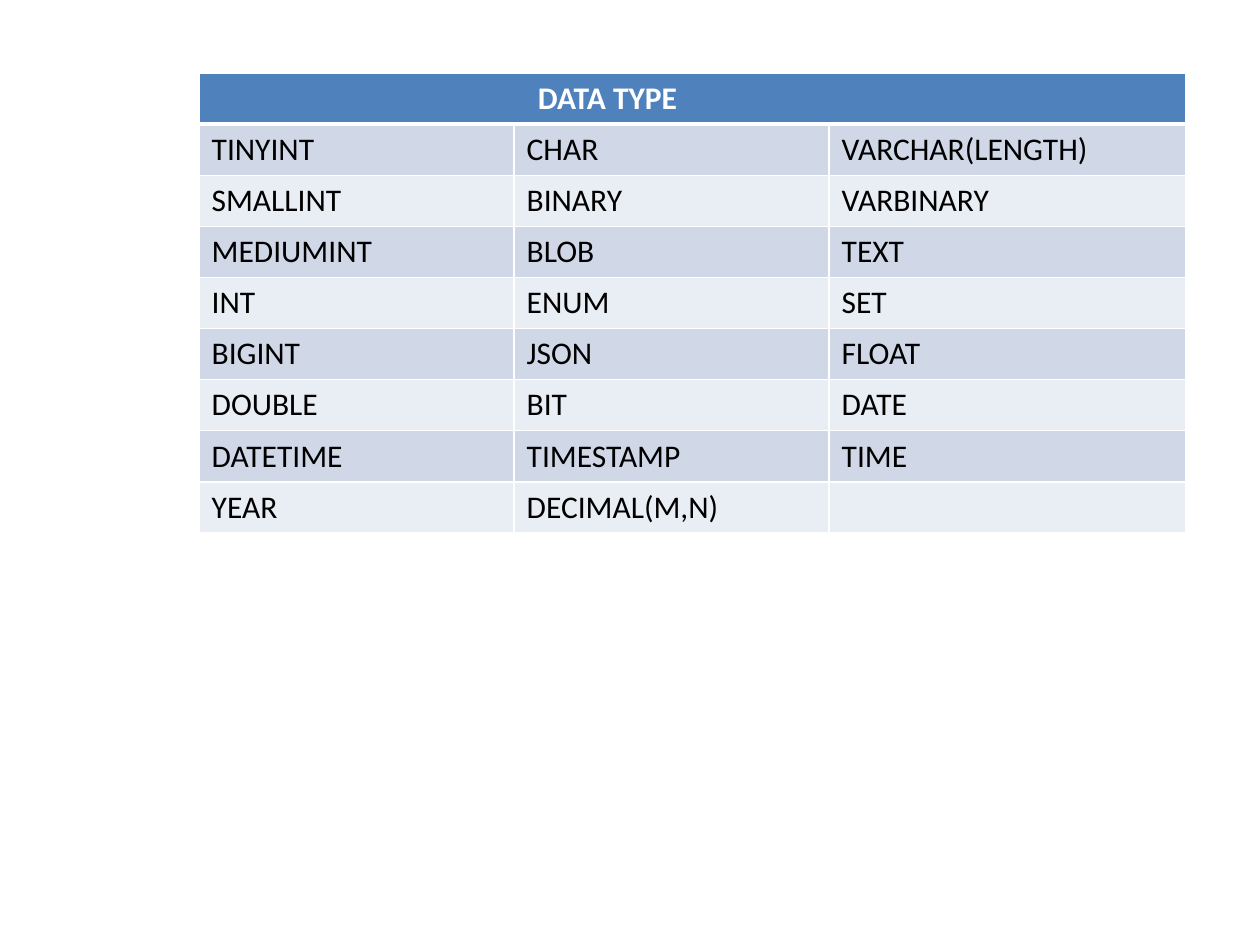
from lxml import etree
from pptx import Presentation
from pptx.dml.color import RGBColor
from pptx.oxml.ns import qn
from pptx.util import Inches, Pt

# Content
TITLE = "DATA TYPE"
TYPES = [
    ("TINYINT", "CHAR", "VARCHAR(LENGTH)"),
    ("SMALLINT", "BINARY", "VARBINARY"),
    ("MEDIUMINT", "BLOB", "TEXT"),
    ("INT", "ENUM", "SET"),
    ("BIGINT", "JSON", "FLOAT"),
    ("DOUBLE", "BIT", "DATE"),
    ("DATETIME", "TIMESTAMP", "TIME"),
    ("YEAR", "DECIMAL(M,N)", ""),
]
HEADER, BANDS = "4F81BD", ("D0D8E8", "E9EDF4")
WHITE, BLACK = "FFFFFF", "000000"


def rgb(value):
    return RGBColor.from_string(value)


def set_borders(cell, **widths):
    tcPr = cell._tc.get_or_add_tcPr()
    for side in "LRTB":
        ln = etree.SubElement(tcPr, qn(f"a:ln{side}"), w=str(Pt(widths.get(side, 1))))
        fill = etree.SubElement(ln, qn("a:solidFill"))
        etree.SubElement(fill, qn("a:srgbClr"), val=WHITE)


def style_cell(cell, text, fill, color, bold=False, **widths):
    set_borders(cell, **widths)
    cell.fill.solid()
    cell.fill.fore_color.rgb = rgb(fill)
    if text:
        r = cell.text_frame.paragraphs[0].add_run()
        r.text = text
        r.font.name, r.font.size, r.font.bold = "Calibri", Pt(18), bold
        r.font.color.rgb = rgb(color)


prs = Presentation()
prs.slide_width, prs.slide_height = Inches(10), Inches(7.5)
s = prs.slides.add_slide(prs.slide_layouts[6])

# Table grid
n_rows, n_cols = len(TYPES) + 1, len(TYPES[0])
width, height = Inches(7.5), Inches(3.65)
table = s.shapes.add_table(n_rows, n_cols, Inches(1.58), Inches(0.58),
                           width, height).table
for col in table.columns:
    col.width = width // n_cols
for row in table.rows:
    row.height = height // n_rows

# Header across all columns
for col in range(n_cols):
    style_cell(table.cell(0, col), TITLE if col == 0 else "", HEADER, WHITE,
               bold=True, B=3)
head = table.cell(0, 0)
head.merge(table.cell(0, n_cols - 1))
head.margin_left = Inches(2.69)

# Banded body
for i, names in enumerate(TYPES):
    for col, name in enumerate(names):
        style_cell(table.cell(i + 1, col), name, BANDS[i % 2], BLACK,
                   T=3 if i == 0 else 1)

prs.save("out.pptx")
